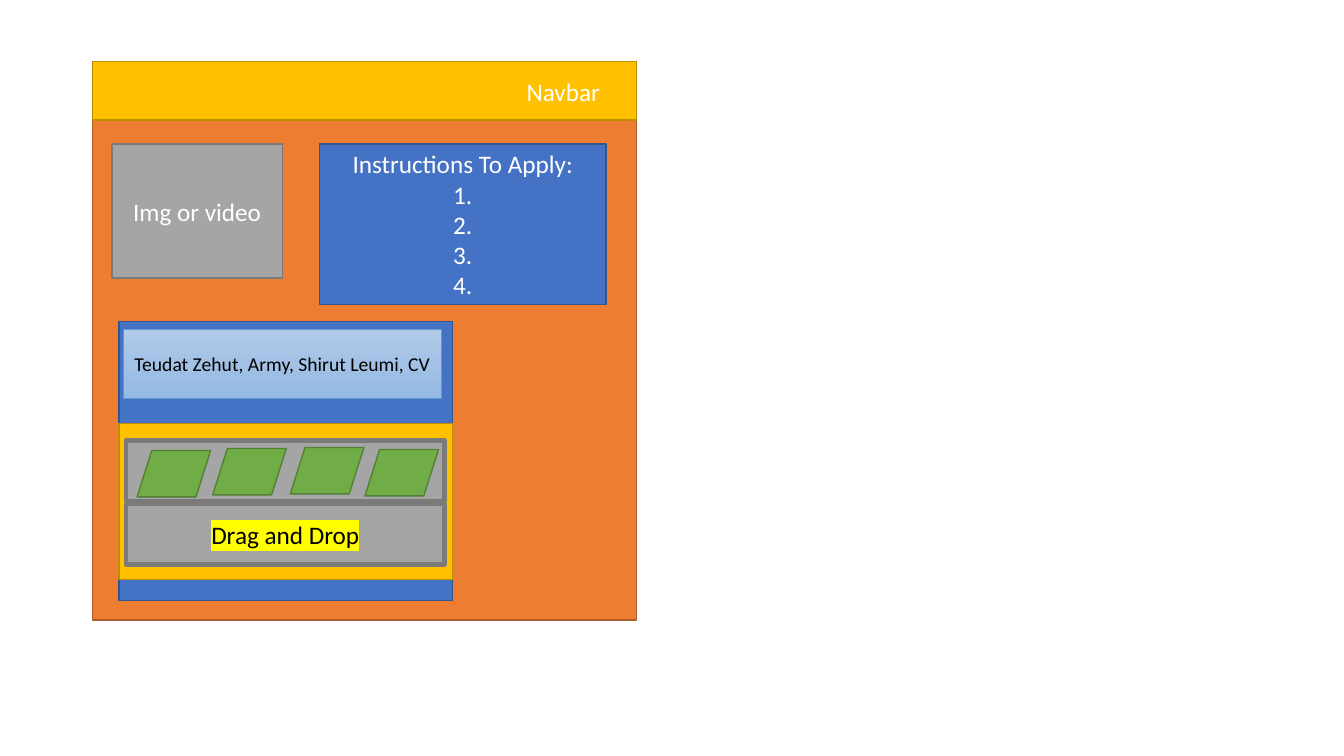
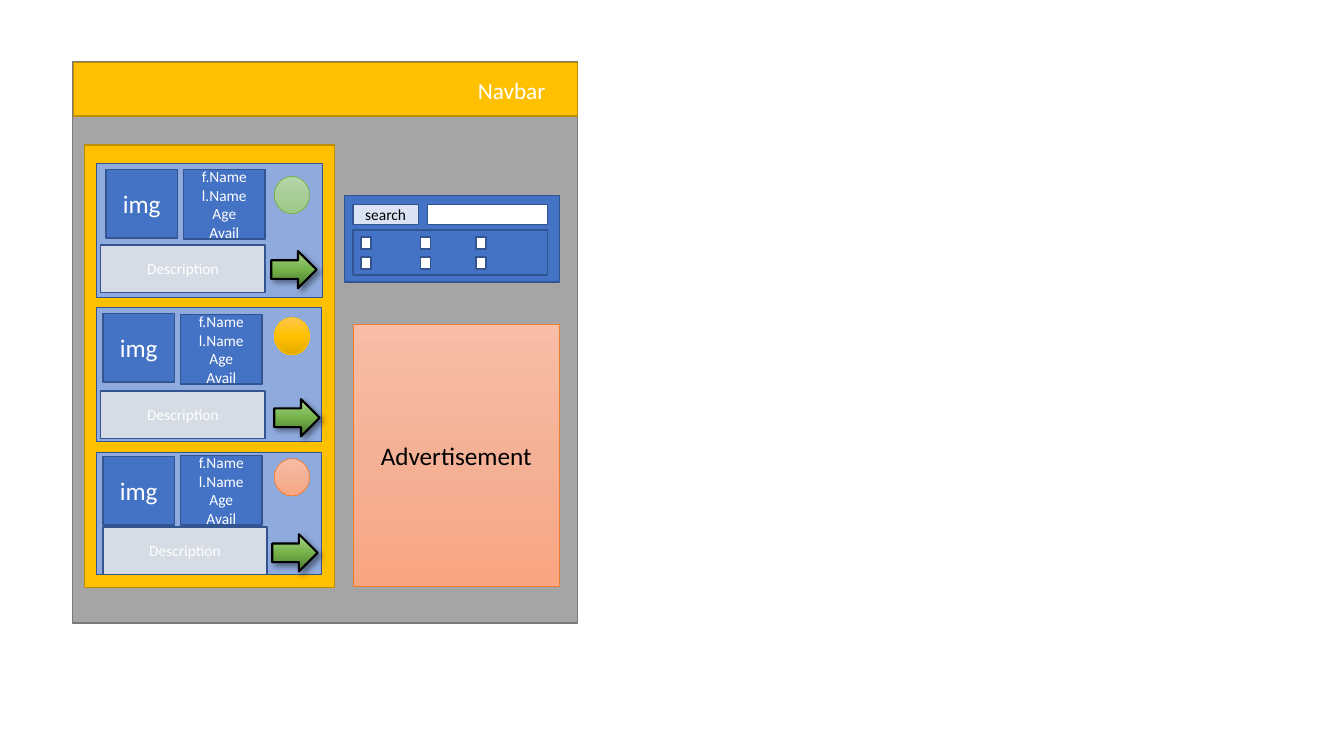
from copy import deepcopy

from lxml import etree
from pptx import Presentation
from pptx.dml.color import RGBColor
from pptx.enum.shapes import MSO_SHAPE
from pptx.enum.text import MSO_ANCHOR, PP_ALIGN
from pptx.oxml.ns import qn
from pptx.util import Emu, Pt

RECTANGLE = MSO_SHAPE.RECTANGLE
OVAL = MSO_SHAPE.OVAL
DATA = MSO_SHAPE.FLOWCHART_DATA
ARROW = MSO_SHAPE.RIGHT_ARROW
MIDDLE = MSO_ANCHOR.MIDDLE
CENTER = PP_ALIGN.CENTER
RIGHT = PP_ALIGN.RIGHT

PX = 9144
FONT = "Calibri"
DOWN, UP = 270, 90


def rgb(*codes):
    return [RGBColor.from_string(code) for code in codes]


WHITE, BLACK = rgb("FFFFFF", "000000")
BLUE, NAVY, PALE_BLUE, MID_BLUE, SKY = rgb("4472C4", "325491", "DAE3F3", "8FAADC", "5B9BD5")
GOLD, DARK_GOLD, ORANGE, RUST = rgb("FFC000", "BD8E00", "ED7D31", "AF5C24")
GRAY, DARK_GRAY, SILVER = rgb("A5A5A5", "7A7A7A", "D6DCE5")
GREEN, DARK_GREEN = rgb("70AD47", "538035")
SKY_FADE = rgb("B1CBE9", "A3C1E5", "93B9E4")
GREEN_FADE = rgb("B5D5A7", "AACE9A", "9CC987")
GOLD_FADE = rgb("FFC64B", "FFC000", "E3AB00")
PEACH_FADE = rgb("F7BDA5", "F5B196", "F8A582")
ARROW_FADE = rgb("4B7430", "74B349", "A9D18E")

ORANGE_PANEL = (ORANGE, RUST, 1)
GOLD_PANEL = (GOLD, DARK_GOLD, 1)
GRAY_PANEL = (GRAY, DARK_GRAY, 1)
GRAY_ROW = (GRAY, DARK_GRAY, 3)
BLUE_PANEL = (BLUE, NAVY, 1)
CARD = (MID_BLUE, NAVY, 1)
NOTE = (SILVER, NAVY, 1)
BUTTON = (PALE_BLUE, NAVY, 1)
FIELD = (WHITE, NAVY, 1)
TILE = (GREEN, DARK_GREEN, 1)
SKY_LABEL = (SKY_FADE, SKY, 0.5)
PEACH_PANEL = (PEACH_FADE, ORANGE, 0.5)
ARROW_LOOK = (ARROW_FADE, BLACK, 1.5)


def draw(page, at, look, text="", size=18, color=WHITE, kind=RECTANGLE,
         angle=DOWN, align=CENTER, inset=5):
    box = page.shapes.add_shape(kind, *[Emu(length * PX) for length in at])
    box.shadow.inherit = False
    fill, line, width = look
    if isinstance(fill, list):
        box.fill.gradient()
        box.fill.gradient_angle = angle
        stops = box._element.spPr.find(".//" + qn("a:gsLst"))
        stops.insert(1, deepcopy(stops[0]))
        for stop, shade, place in zip(box.fill.gradient_stops, fill, (0, 0.5, 1)):
            stop.color.rgb = shade
            stop.position = place
    else:
        box.fill.solid()
        box.fill.fore_color.rgb = fill
    box.line.color.rgb = line
    box.line.width = Pt(width)
    if text:
        frame = box.text_frame
        layout = {"word_wrap": True, "vertical_anchor": MIDDLE,
                  "margin_left": Emu(5 * PX), "margin_right": Emu(inset * PX)}
        for name, value in layout.items():
            setattr(frame, name, value)
        frame.text = text
        for para in frame.paragraphs:
            para.alignment = align
            font = para.runs[0].font
            font.color.rgb = color
            for name, value in {"name": FONT, "size": Pt(size)}.items():
                setattr(font, name, value)
    return box


deck = Presentation()
deck.slide_width = Emu(1333 * PX)
deck.slide_height = Emu(750 * PX)
apply_page, list_page = [deck.slides.add_slide(deck.slide_layouts[6]) for _ in range(2)]

draw(apply_page, (92, 77, 539, 538), ORANGE_PANEL)
draw(list_page, (72, 61, 501, 557), GRAY_PANEL)
for page, at, size, inset in (
    (apply_page, (92, 61, 539, 58), 18, 36),
    (list_page, (73, 62, 500, 53), 16.6, 32),
):
    navbar = draw(page, at, GOLD_PANEL, "Navbar", size, align=RIGHT, inset=inset)
    navbar.text_frame.margin_top = Emu(7 * PX)

draw(apply_page, (111, 143, 169, 133), GRAY_PANEL, "Img or video")
draw(apply_page, (317, 143, 284, 159), BLUE_PANEL, "Instructions To Apply:\n1.\n2.\n3.\n4.")
draw(apply_page, (118, 319, 331, 277), BLUE_PANEL)
draw(apply_page, (118, 420, 331, 155), GOLD_PANEL)
draw(apply_page, (122, 327, 316, 68), SKY_LABEL, "Teudat Zehut, Army, Shirut Leumi, CV", 14, BLACK)
draw(apply_page, (125, 437, 316, 60), GRAY_ROW)
for left, top in ((136, 447), (211, 445), (288, 444), (362, 446)):
    draw(apply_page, (left, top, 73, 46), TILE, kind=DATA)
drop_area = draw(apply_page, (125, 500, 316, 60), GRAY_ROW, "Drag and Drop", 18, BLACK)
span = drop_area.text_frame.paragraphs[0].runs[0]
highlight = etree.Element(qn("a:highlight"))
etree.SubElement(highlight, qn("a:srgbClr"), val="FFFF00")
span._r.rPr.find(qn("a:solidFill")).addnext(highlight)

draw(list_page, (84, 144, 248, 439), GOLD_PANEL)
cards = (
    ((96, 162, 224, 133), (105, 168), (182, 168), (100, 243), 175, (269, 249), (GREEN_FADE, GREEN, 0.5)),
    ((96, 305, 223, 133), (102, 311), (179, 312), (100, 388), 315, (272, 396), (GOLD_FADE, GOLD, 0.5)),
    ((96, 449, 223, 121), (102, 453), (179, 452), (102, 523), 455, (270, 530), (PEACH_FADE, ORANGE, 0.5)),
)
for card, photo, details, description, status_top, arrow, status_look in cards:
    draw(list_page, card, CARD)
    draw(list_page, (*photo, 71, 68), BLUE_PANEL, "img")
    draw(list_page, (*details, 81, 69), BLUE_PANEL, "f.Name\nl.Name\nAge\nAvail", 11)
    draw(list_page, (*description, 163, 47), NOTE, "Description", 11)
    draw(list_page, (272, status_top, 35, 37), status_look, kind=OVAL)
    pointer = draw(list_page, (*arrow, 45, 37), ARROW_LOOK, kind=ARROW, angle=UP)
    effects = pointer._element.spPr.find(qn("a:effectLst"))
    shadow = etree.SubElement(effects, qn("a:outerShdw"), blurRad=str(Pt(4)),
                              dist=str(Pt(3)), dir="2700000", rotWithShape="0")
    shade = etree.SubElement(shadow, qn("a:srgbClr"), val="000000")
    etree.SubElement(shade, qn("a:alpha"), val="40000")

draw(list_page, (342, 194, 213, 86), BLUE_PANEL)
draw(list_page, (350, 203, 65, 20), BUTTON, "search", 11, BLACK)
draw(list_page, (424, 203, 119, 20), FIELD)
draw(list_page, (350, 228, 193, 45), BLUE_PANEL)
for left in (358, 417, 472):
    for top in (235, 255):
        draw(list_page, (left, top, 10, 12), FIELD)
draw(list_page, (350, 322, 205, 260), PEACH_PANEL, "Advertisement", 18, BLACK)

deck.save("out.pptx")
